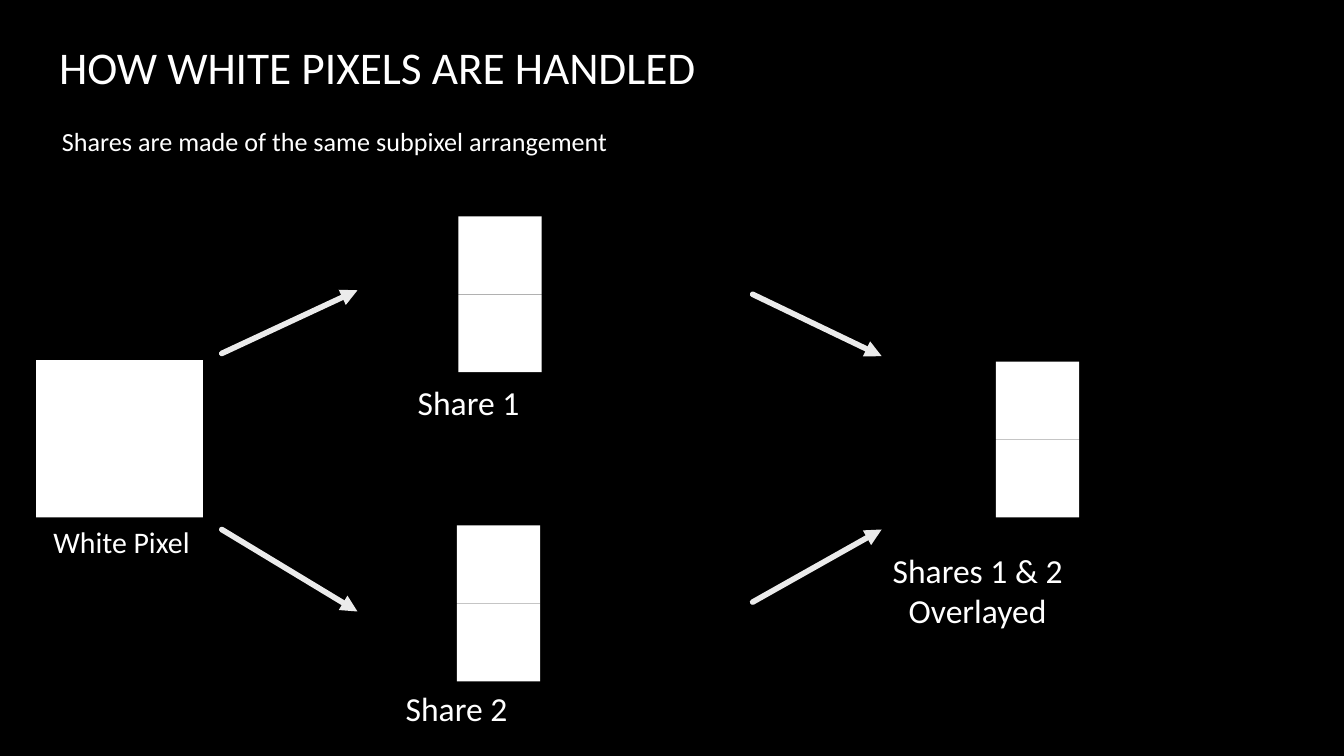
"""Build the slide on how white pixels are split into shares."""
from dataclasses import dataclass

from lxml.etree import SubElement
from pptx import Presentation
from pptx.dml.color import RGBColor
from pptx.enum.shapes import MSO_CONNECTOR, MSO_SHAPE
from pptx.enum.text import MSO_ANCHOR, MSO_AUTO_SIZE, PP_ALIGN
from pptx.oxml.ns import qn
from pptx.util import Inches, Pt


@dataclass(frozen=True)
class Theme:
    font: str = "Calibri"
    black: RGBColor = RGBColor(0, 0, 0)
    white: RGBColor = RGBColor(255, 255, 255)
    arrow: RGBColor = RGBColor(0xEB, 0xEB, 0xEB)
    title: float = 24.3
    body: float = 14
    small: float = 16
    label: float = 18


theme = Theme()


def write(box, text, size, place, align=PP_ALIGN.LEFT, inset=0.05, after=0):
    box.left, box.top, box.width, box.height = map(Inches, place)
    frame = box.text_frame
    frame.word_wrap = True
    frame.auto_size = MSO_AUTO_SIZE.NONE
    frame.vertical_anchor = MSO_ANCHOR.TOP
    frame.margin_left = frame.margin_right = Inches(0.1)
    frame.margin_top = frame.margin_bottom = Inches(inset)
    frame.text = text
    line = frame.paragraphs[0]
    props = line._p.get_or_add_pPr()
    props.set("marL", "0")
    props.set("indent", "0")
    SubElement(props, qn("a:buNone"))
    line.alignment = align
    line.space_before, line.space_after = Pt(0), Pt(after)
    line.font.name = theme.font
    line.font.size = Pt(size)
    line.font.color.rgb = theme.white


def block(shapes, place, fill):
    rect = shapes.add_shape(MSO_SHAPE.RECTANGLE, *map(Inches, place))
    rect.shadow.inherit = False
    rect.fill.solid()
    rect.fill.fore_color.rgb = fill
    rect.line.fill.background()


deck = Presentation()
deck.slide_width = Inches(10)
deck.slide_height = Inches(10 * 9 / 16)
slide = deck.slides.add_slide(deck.slide_layouts[1])
slide.background.fill.solid()
slide.background.fill.fore_color.rgb = theme.black
shapes = slide.shapes

write(shapes.title, "HOW WHITE PIXELS ARE HANDLED", theme.title,
      (0.34, 0.19, 9.32, 0.63), inset=0.1)
write(slide.placeholders[1], "Shares are made of the same subpixel arrangement",
      theme.body, (0.36, 0.83, 5.65, 0.49), inset=0.1, after=12)

block(shapes, (0.27, 2.68, 1.24, 1.17), theme.white)

wide, high = 0.62, 0.58
for left, top in ((2.79, 1.61), (2.78, 3.91), (6.79, 2.69)):
    share = shapes.add_group_shape()
    for row in range(2):
        for col, fill in enumerate((theme.black, theme.white)):
            place = (left + col * wide, top + row * high, wide, high)
            block(share.shapes, place, fill)

for ends in ((1.65, 2.63, 2.66, 2.16), (1.65, 3.94, 2.66, 4.55),
             (5.6, 2.19, 6.56, 2.65), (5.6, 4.48, 6.56, 3.94)):
    arrow = shapes.add_connector(MSO_CONNECTOR.STRAIGHT, *map(Inches, ends))
    arrow.line.color.rgb = theme.arrow
    arrow.line.width = Pt(3)
    stroke = arrow.line._get_or_add_ln()
    stroke.set("cap", "rnd")
    SubElement(stroke, qn("a:tailEnd"), type="triangle")
    SubElement(arrow._element.spPr, qn("a:effectLst"))

for text, size, place, align in (
    ("White Pixel", theme.small, (0.3, 3.85, 1.33, 0.37), PP_ALIGN.LEFT),
    ("Share 1", theme.label, (3.01, 2.79, 0.96, 0.34), PP_ALIGN.LEFT),
    ("Share 2", theme.label, (2.92, 5.07, 0.96, 0.4), PP_ALIGN.LEFT),
    ("Shares 1 & 2 Overlayed", theme.label, (6.51, 4.04, 1.53, 0.71),
     PP_ALIGN.CENTER),
):
    box = shapes.add_textbox(*map(Inches, place))
    write(box, text, size, place, align=align)

deck.save("out.pptx")
